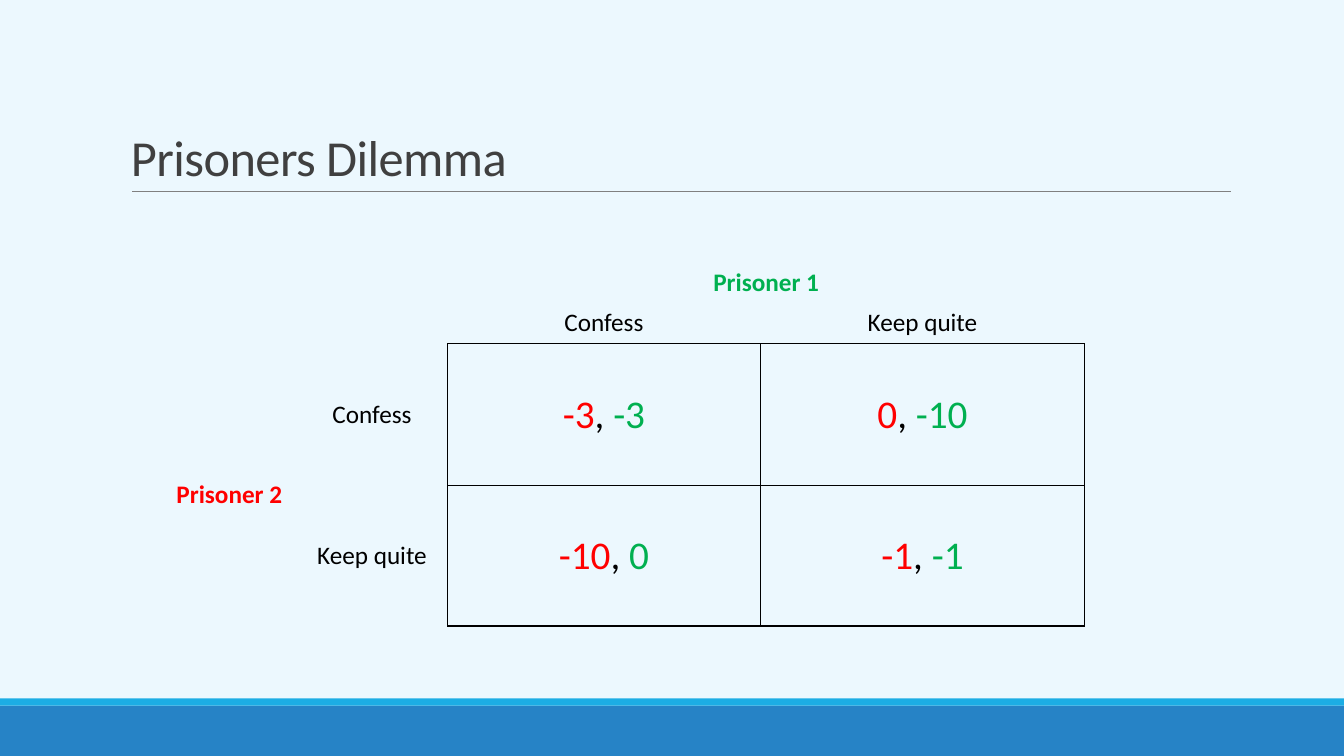
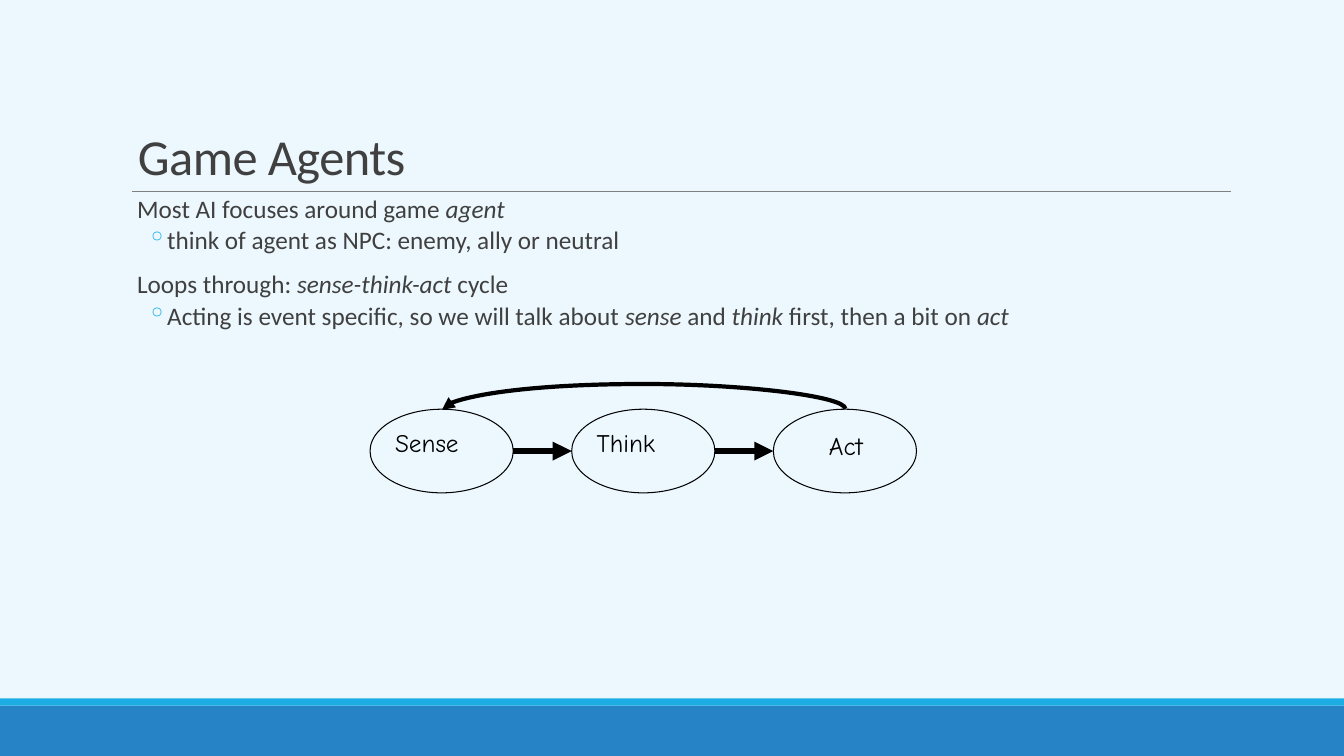
"""Build two slides on game theory and game agents."""
from lxml.etree import SubElement
from pptx import Presentation
from pptx.dml.color import RGBColor
from pptx.enum.shapes import MSO_CONNECTOR as LINK, MSO_SHAPE as SHAPE
from pptx.enum.text import MSO_ANCHOR as ANCHOR, PP_ALIGN as ALIGN
from pptx.oxml import parse_xml
from pptx.oxml.ns import nsdecls, qn
from pptx.util import Inches, Pt

WIDTH, HEIGHT = 13.33, 7.5
PAPER, BLUE, CYAN, RULE = "ECF8FE", "2683C6", "1CADE4", "808080"
INK, BLACK, RED, GREEN = "404040", "000000", "FF0000", "00B050"

CHOICES = ["Confess", "Keep quite"]
PAYOFFS = [[("-3", "-3"), ("0", "-10")], [("-10", "0"), ("-1", "-1")]]
COLUMNS = [1.33, 0.95, 0.55, 3.1, 3.22]
ROWS = [0.37, 0.41, 1.41, 1.39]
FIRST_ROW, FIRST_COLUMN = 2, 3
MERGES = [((0, 0), (0, 1)), ((0, 3), (0, 4)), ((1, 0), (3, 0)),
          ((1, 1), (1, 2)), ((2, 1), (2, 2)), ((3, 1), (3, 2))]

ITALIC = {"italic": True}
POINTS = [
    (0, [("Most AI focuses around game ", {}), ("agent", ITALIC)]),
    (1, [("think of agent as NPC: enemy, ally or neutral", {})]),
    (0, [("Loops through: ", {}), ("sense-think-act", ITALIC), (" cycle", {})]),
    (1, [("Acting is event specific, so we will talk about ", {}), ("sense ", ITALIC),
         ("and ", {}), ("think", ITALIC), (" first, then a bit on ", {}), ("act", ITALIC)]),
]
LEVELS = [{"indent": 0.07, "before": 9, "after": 1.5},
          {"indent": 0.32, "hang": 0.15, "bullet": "◦", "before": 1.5, "after": 3}]
STAGES = [("Sense", 0.15, 0.13, 0.91, ALIGN.LEFT),
          ("Think", 0.15, 0.13, 0.86, ALIGN.LEFT),
          ("Act", 0.4, 0.16, 0.64, ALIGN.CENTER)]
STAGE_LEFT, STAGE_TOP, STAGE_STEP = 3.67, 4.06, 2
STAGE_WIDTH, STAGE_HEIGHT, LOOP_RISE = 1.42, 0.83, 0.25


def paint(color_format, color):
    color_format.rgb = RGBColor.from_string(color)


def write(paragraph, runs, size=18, font="Calibri", color=BLACK, bold=False,
          align=ALIGN.LEFT, spacing=None, before=0, after=0, tracking=0,
          indent=0, hang=0, bullet=None):
    if isinstance(runs, str):
        runs = [(runs, {})]
    paragraph.alignment = align
    paragraph.line_spacing = spacing
    paragraph.space_before, paragraph.space_after = Pt(before), Pt(after)
    properties = paragraph._p.get_or_add_pPr()
    properties.set("marL", str(Inches(indent)))
    properties.set("indent", str(Inches(-hang)))
    if bullet:
        SubElement(SubElement(properties, qn("a:buClr")), qn("a:srgbClr")).set("val", CYAN)
        SubElement(properties, qn("a:buChar")).set("char", bullet)
    for words, change in runs:
        run = paragraph.add_run()
        run.text = words
        run.font.size, run.font.name, run.font.bold = Pt(size), font, bold
        run.font.italic = change.get("italic", False)
        paint(run.font.color, change.get("color", color))
        if tracking:
            run._r.get_or_add_rPr().set("spc", str(tracking))


def add_box(slide, area, anchor=ANCHOR.TOP, side=0.1):
    frame = slide.shapes.add_textbox(*map(Inches, area)).text_frame
    frame.word_wrap, frame.vertical_anchor = True, anchor
    frame.margin_left = frame.margin_right = Inches(side)
    return frame


def add_outline(slide, kind, area, fill=None, line=None):
    outline = slide.shapes.add_shape(kind, *map(Inches, area))
    outline.shadow.inherit = False
    if fill:
        outline.fill.solid()
        paint(outline.fill.fore_color, fill)
    else:
        outline.fill.background()
    if line:
        paint(outline.line.color, line)
        outline.line.width = Pt(0.75)
    else:
        outline.line.fill.background()


def add_line(slide, start, end, color=BLACK, width=0.5, arrow=False, kind=LINK.STRAIGHT):
    link = slide.shapes.add_connector(kind, *map(Inches, (*start, *end)))
    paint(link.line.color, color)
    link.line.width = Pt(width)
    if arrow:
        SubElement(link.line._get_or_add_ln(), qn("a:tailEnd")).set("type", "triangle")
    SubElement(link._element.spPr, qn("a:effectLst"))
    return link


def add_slide(deck, title, area):
    slide = deck.slides.add_slide(deck.slide_layouts[6])
    slide.background.fill.solid()
    paint(slide.background.fill.fore_color, PAPER)
    add_outline(slide, SHAPE.RECTANGLE, (0, 7, WIDTH, 0.5), fill=BLUE)
    add_outline(slide, SHAPE.RECTANGLE, (0, 6.93, WIDTH, 0.07), fill=CYAN)
    add_line(slide, (1.31, 1.9), (12.21, 1.9), RULE)
    write(add_box(slide, area, ANCHOR.BOTTOM).paragraphs[0], title,
          size=36, color=INK, spacing=0.85, tracking=-40)
    return slide


def in_payoffs(row, column):
    return FIRST_ROW <= row < len(ROWS) and FIRST_COLUMN <= column < len(COLUMNS)


def set_borders(cell, row, column):
    neighbours = {"L": (row, column - 1), "R": (row, column + 1),
                  "T": (row - 1, column), "B": (row + 1, column)}
    for place, (side, neighbour) in enumerate(neighbours.items()):
        ruled = in_payoffs(row, column) or in_payoffs(*neighbour)
        fill = (f'<a:solidFill><a:srgbClr val="{BLACK}"/></a:solidFill>'
                if ruled else "<a:noFill/>")
        cell._tc.get_or_add_tcPr().insert(place, parse_xml(
            f'<a:ln{side} {nsdecls("a")} w="{Pt(1)}">{fill}</a:ln{side}>'))


def add_payoff_table(slide):
    area = (1.61, 2.6, sum(COLUMNS), sum(ROWS))
    matrix = slide.shapes.add_table(len(ROWS), len(COLUMNS), *map(Inches, area)).table
    matrix.first_row = matrix.horz_banding = False
    for column, width in zip(matrix.columns, COLUMNS):
        column.width = Inches(width)
    for row, height in zip(matrix.rows, ROWS):
        row.height = Inches(height)
    for row in range(len(ROWS)):
        for column in range(len(COLUMNS)):
            cell = matrix.cell(row, column)
            cell.fill.background()
            set_borders(cell, row, column)
    for first, last in MERGES:
        matrix.cell(*first).merge(matrix.cell(*last))

    def fill_cell(row, column, runs, anchor=ANCHOR.MIDDLE, **style):
        cell = matrix.cell(row, column)
        cell.vertical_anchor = anchor
        write(cell.text_frame.paragraphs[0], runs, align=ALIGN.CENTER, **style)

    fill_cell(0, FIRST_COLUMN, "Prisoner 1", ANCHOR.TOP, color=GREEN, bold=True)
    fill_cell(1, 0, "Prisoner 2", color=RED, bold=True)
    matrix.cell(1, 0).margin_top = Inches(0.66)
    for index, choice in enumerate(CHOICES):
        fill_cell(1, FIRST_COLUMN + index, choice, ANCHOR.TOP)
        fill_cell(FIRST_ROW + index, 1, choice)
        for other, (second, first) in enumerate(PAYOFFS[index]):
            fill_cell(FIRST_ROW + index, FIRST_COLUMN + other,
                      [(second, {"color": RED}), (", ", {}), (first, {"color": GREEN})],
                      size=28)


def add_points(slide):
    frame = add_box(slide, (1.29, 1.9, 10.94, 2.75), side=0)
    for index, (level, runs) in enumerate(POINTS):
        paragraph = frame.add_paragraph() if index else frame.paragraphs[0]
        style = LEVELS[level] if index else {**LEVELS[level], "before": 0}
        write(paragraph, runs, color=INK, spacing=0.9, **style)


def add_cycle(slide):
    middle = STAGE_TOP + STAGE_HEIGHT / 2
    for index, (stage, across, down, width, align) in enumerate(STAGES):
        left = STAGE_LEFT + index * STAGE_STEP
        add_outline(slide, SHAPE.OVAL, (left, STAGE_TOP, STAGE_WIDTH, STAGE_HEIGHT), line=BLACK)
        label = add_box(slide, (left + across, STAGE_TOP + down, width, 0.4))
        write(label.paragraphs[0], stage, font="Comic Neue", align=align)
        if index:
            add_line(slide, (left - STAGE_STEP + STAGE_WIDTH, middle), (left, middle),
                     width=4.5, arrow=True)
    reach = (len(STAGES) - 1) * STAGE_STEP / 2
    center, depth = STAGE_LEFT + STAGE_WIDTH / 2 + reach, 0.01
    loop = add_line(slide, (center + depth, STAGE_TOP + reach), (center, STAGE_TOP - reach),
                    width=3, arrow=True, kind=LINK.CURVE)
    properties = loop._element.spPr
    properties.find(qn("a:xfrm")).set("rot", str(270 * 60000))
    bend = SubElement(properties.find(qn("a:prstGeom")).find(qn("a:avLst")), qn("a:gd"))
    bend.set("name", "adj1")
    bend.set("fmla", f"val {round(-LOOP_RISE / depth * 100000)}")


def main():
    deck = Presentation()
    deck.slide_width, deck.slide_height = Inches(WIDTH), Inches(HEIGHT)
    add_payoff_table(add_slide(deck, "Prisoners Dilemma", (1.2, 0.31, 11, 1.59)))
    agents = add_slide(deck, "Game Agents", (1.27, 0.64, 8.5, 1.25))
    add_points(agents)
    add_cycle(agents)
    deck.save("out.pptx")


if __name__ == "__main__":
    main()
